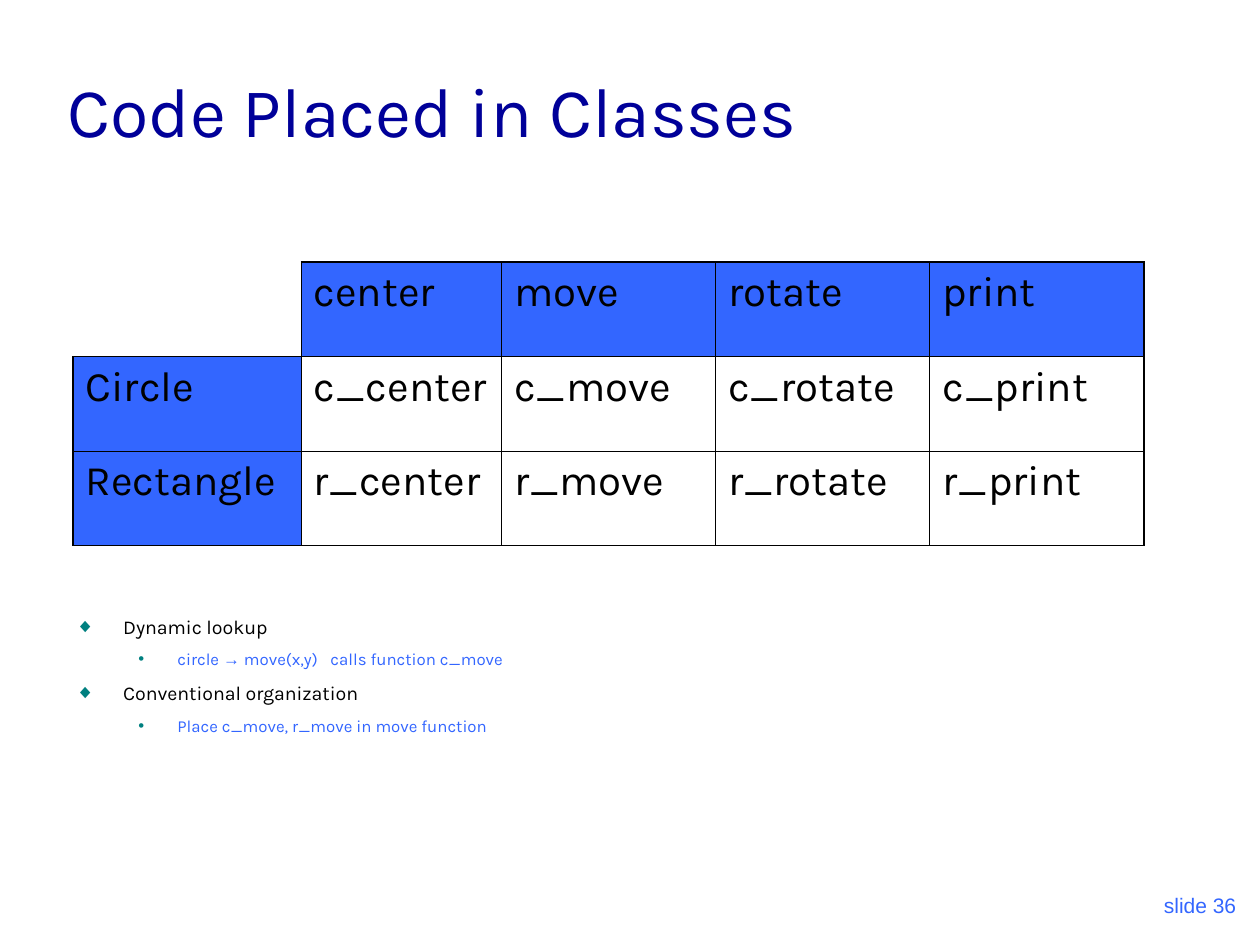
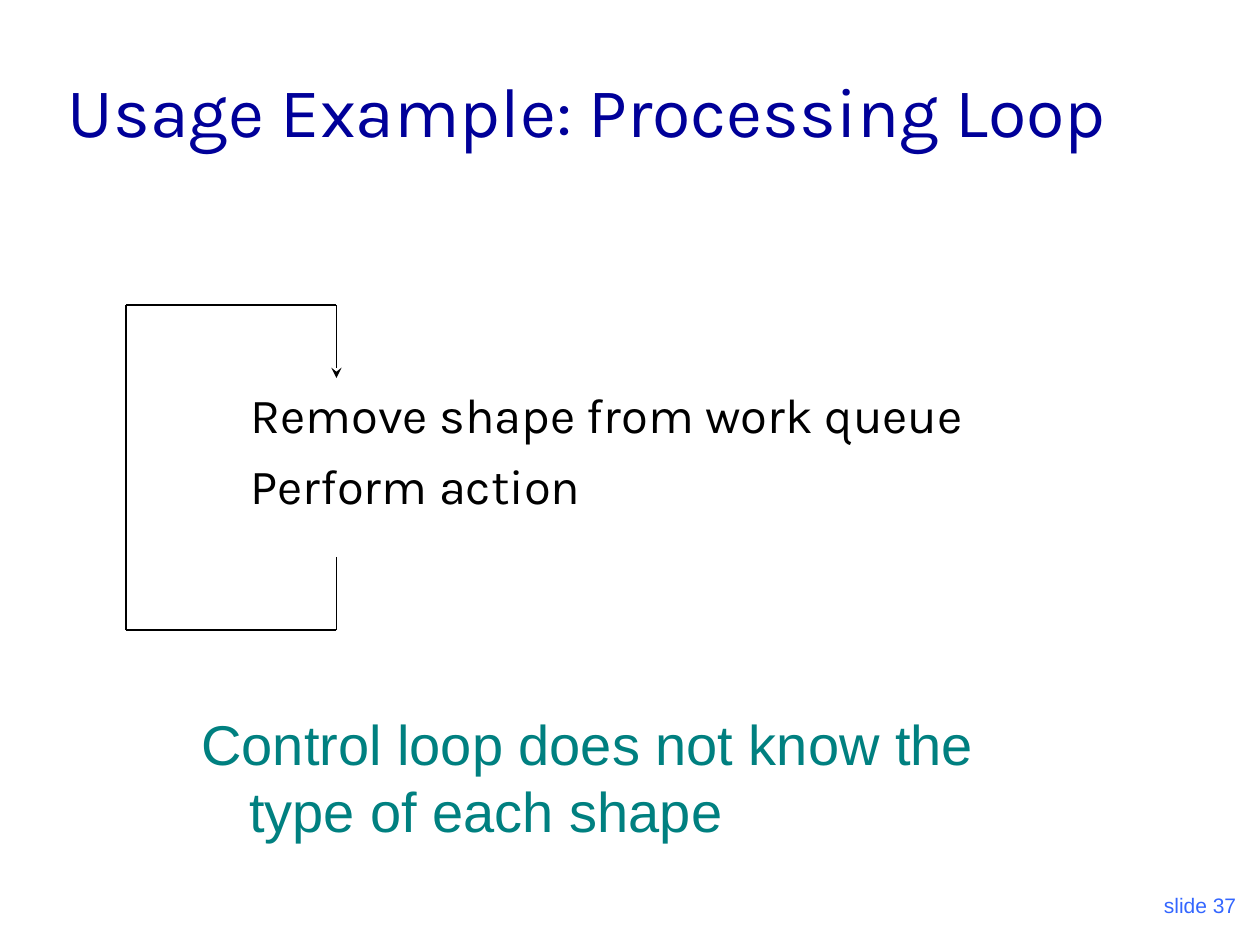
import lxml.etree
import pptx
import pptx.dml.color
import pptx.enum.shapes
import pptx.enum.text
import pptx.oxml.ns
import pptx.util

Inches = pptx.util.Inches
Pt = pptx.util.Pt
Anchor = pptx.enum.text.MSO_ANCHOR
Align = pptx.enum.text.PP_ALIGN

COLORS = {
    "title": "000099",
    "accent": "3366FF",
    "teal": "008080",
    "text": "000000",
    "page": "FFFFFF",
}
BODY_FONT = "Karla"
PLAIN_FONT = "Arial"
OUTER, INNER = 1.08, 0.45


def rgb(color):
    return pptx.dml.color.RGBColor.from_string(COLORS[color])


def apply(target, values):
    for name, value in values.items():
        setattr(target, name, value)


def add_xml(parent, tag, **attributes):
    return lxml.etree.SubElement(parent, pptx.oxml.ns.qn(f"a:{tag}"), attributes)


class Deck:
    """Holds the shared style and the slide being built."""

    def __init__(self):
        self.show = pptx.Presentation()
        apply(self.show, {"slide_width": Inches(10), "slide_height": Inches(7.5)})
        self.slide = None

    def start_slide(self, title, number):
        self.slide = self.show.slides.add_slide(self.show.slide_layouts[6])
        fill = self.slide.background.fill
        fill.solid()
        fill.fore_color.rgb = rgb("page")
        footer = self.frame(7.83, 6.83, 2.08, 0.5, Anchor.BOTTOM)
        self.add_line(footer, f"slide {number}", 12, "accent", PLAIN_FONT).alignment = Align.RIGHT
        heading = self.frame(0.44, 0.25, 8.5, 1, Anchor.BOTTOM)
        self.add_line(heading, title, 40, "title")

    def frame(self, left, top, width, height, anchor=Anchor.TOP):
        box = self.slide.shapes.add_textbox(*map(Inches, (left, top, width, height)))
        apply(box.text_frame, {"word_wrap": True, "vertical_anchor": anchor})
        return box.text_frame

    def add_words(self, paragraph, text, size, color, font=BODY_FONT):
        run = paragraph.add_run()
        run.text = text
        apply(run.font, {"size": Pt(size), "name": font})
        run.font.color.rgb = rgb(color)
        return run

    def add_line(self, frame, text, size, color, font=BODY_FONT,
                 before=0, indent=(0, 0), bullet=None):
        """Add a paragraph; only the paragraphs after the first get space before."""
        first = not frame.paragraphs[0].runs
        paragraph = frame.paragraphs[0] if first else frame.add_paragraph()
        properties = paragraph._p.get_or_add_pPr()
        margin, hanging = indent
        properties.set("marL", str(Inches(margin)))
        properties.set("indent", str(Inches(hanging)))
        if bullet:
            add_xml(add_xml(properties, "buClr"), "srgbClr", val=COLORS["teal"])
            add_xml(properties, "buFont", typeface=PLAIN_FONT)
            add_xml(properties, "buChar", char=bullet)
        paragraph.space_before = Pt(0 if first else before)
        if text:
            self.add_words(paragraph, text, size, color, font)
        return paragraph

    def topic(self, frame, text):
        self.add_line(frame, text, 11.2, "text", before=7, indent=(0.38, -0.38), bullet="◆")

    def detail(self, frame, text=""):
        return self.add_line(frame, text, 9.6, "accent",
                             before=6, indent=(0.81, -0.31), bullet="•")

    def connect(self, start, end, arrow=False):
        connector = self.slide.shapes.add_connector(
            pptx.enum.shapes.MSO_CONNECTOR.STRAIGHT, *map(Inches, (*start, *end)))
        connector.line.width = Pt(1)
        connector.line.color.rgb = rgb("text")
        properties = connector._element.spPr
        if arrow:
            add_xml(properties.get_or_add_ln(), "tailEnd", type="stealth")
        add_xml(properties, "effectLst")

    def border(self, cell, side, width):
        edge = add_xml(cell._tc.get_or_add_tcPr(), f"ln{side}", w=str(Pt(width)))
        if width:
            add_xml(add_xml(edge, "solidFill"), "srgbClr", val=COLORS["text"])
        else:
            add_xml(edge, "noFill")

    def grid(self, left, top, widths, row_height, rows):
        """Table with a filled header row and column and an empty corner."""
        shape = self.slide.shapes.add_table(
            len(rows), len(widths),
            *map(Inches, (left, top, sum(widths), row_height * len(rows))))
        table = shape.table
        apply(table, {"first_row": False, "horz_banding": False})
        for column, width in zip(table.columns, widths):
            column.width = Inches(width)
        last_row, last_column = len(rows) - 1, len(widths) - 1
        for r, texts in enumerate(rows):
            table.rows[r].height = Inches(row_height)
            for c, text in enumerate(texts):
                cell = table.cell(r, c)
                corner = r == c == 0
                sides = {
                    "L": OUTER if c == 0 else INNER,
                    "R": OUTER if c == last_column else INNER,
                    "T": OUTER if r == 0 else INNER,
                    "B": OUTER if r == last_row else INNER,
                }
                if corner:
                    sides.update(L=0, T=0)
                for side, width in sides.items():
                    self.border(cell, side, width)
                if (r == 0 or c == 0) and not corner:
                    cell.fill.solid()
                    cell.fill.fore_color.rgb = rgb("accent")
                else:
                    cell.fill.background()
                if text:
                    self.add_line(cell.text_frame, text, 24, "text")


def build_classes(deck):
    deck.start_slide("Code Placed in Classes", 36)
    actions = ["center", "move", "rotate", "print"]
    rows = [["", *actions]]
    for name in ("Circle", "Rectangle"):
        rows.append([name, *(f"{name[0].lower()}_{action}" for action in actions)])
    deck.grid(0.58, 2.08, [1.81, 1.59, 1.7, 1.7, 1.7], 0.75, rows)

    lookup = deck.frame(0.5, 4.83, 8.94, 1.04)
    deck.topic(lookup, "Dynamic lookup")
    call = deck.detail(lookup)
    deck.add_words(call, "circle ", 9.6, "accent")
    deck.add_words(call, "→", 9.6, "accent", PLAIN_FONT)
    deck.add_words(call, " move(x,y)", 9.6, "accent")
    gap = deck.add_words(call, " ", 9.6, "accent")
    gap._r.get_or_add_rPr().set("spc", "500")
    deck.add_words(call, "calls function c_move", 9.6, "accent")
    deck.topic(lookup, "Conventional organization")
    deck.detail(lookup, "Place c_move, r_move in move function")


def build_loop(deck):
    deck.start_slide("Usage Example: Processing Loop", 37)
    steps = deck.frame(1.89, 3, 7.12, 1.42)
    for step in ("Remove shape from work queue", "Perform action"):
        deck.add_line(steps, step, 28, "text", before=7, indent=(0.38, -0.38))

    loop = [(2.67, 4.42), (2.67, 5), (1, 5), (1, 2.42), (2.67, 2.42), (2.67, 3)]
    for start, end in zip(loop, loop[1:]):
        deck.connect(start, end, arrow=end == loop[-1])

    conclusion = deck.frame(1.5, 5.58, 6.84, 1.5)
    deck.add_line(conclusion, "Control loop does not know the type of each shape",
                  32, "teal", PLAIN_FONT, indent=(0.38, -0.38))


def main():
    deck = Deck()
    build_classes(deck)
    build_loop(deck)
    deck.show.save("out.pptx")


if __name__ == "__main__":
    main()
